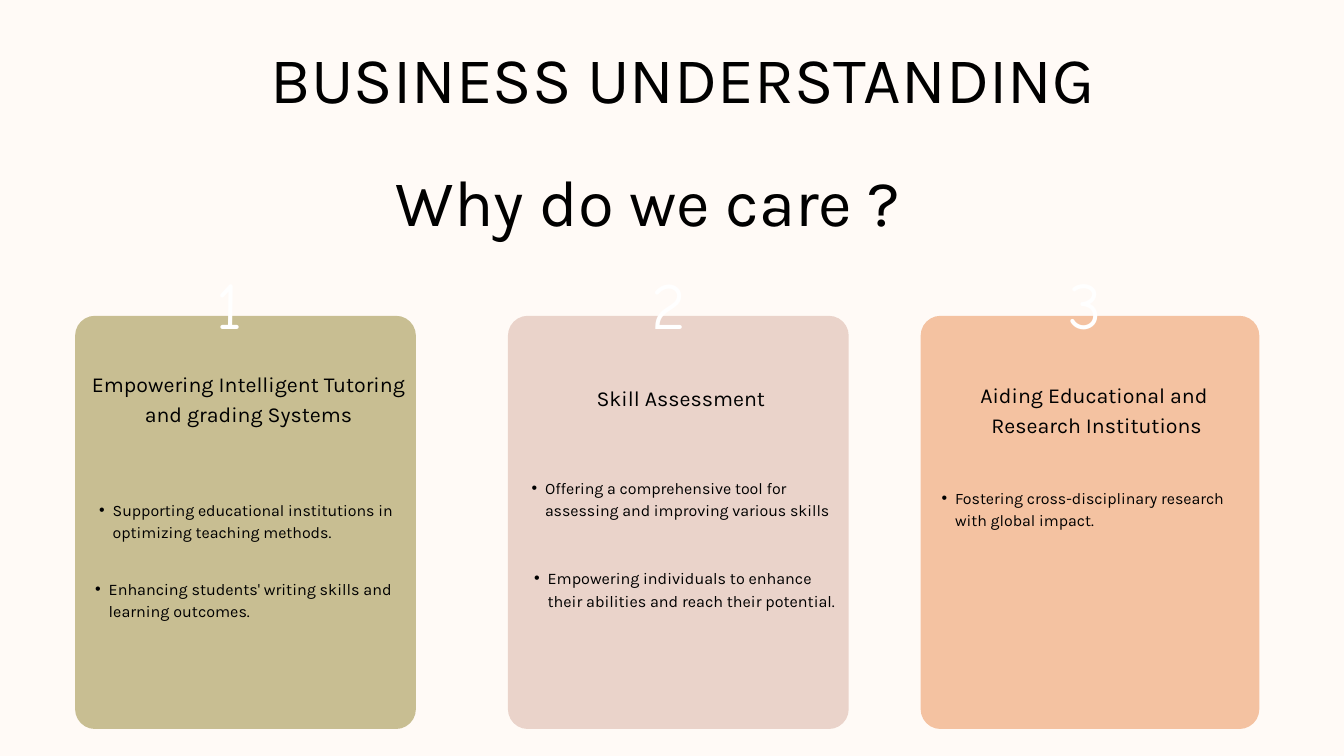
from dataclasses import dataclass

from lxml import etree
from pptx import Presentation, util as u
from pptx.dml.color import RGBColor
from pptx.enum import shapes, text
from pptx.oxml.ns import qn

SANS, HAND = "Karla", "Comic Neue"
BLACK, WHITE, CREAM = "000000", "FFFFFF", "FFFAF6"
CARD_TOP, CARD_HIGH = 11.94, 15.62
RADIUS = 0.75
HANG = 0.51


@dataclass
class Box:
    left: float
    top: float
    wide: float
    high: float

    def place(self) -> list:
        return [u.Cm(v) for v in (self.left, self.top, self.wide, self.high)]


@dataclass
class Item:
    words: str
    indent: float
    size: float = 17.1
    lead: float = 23.9
    gap: float = 0


@dataclass
class Card:
    num: str
    left: float
    wide: float
    fill: str
    num_left: float
    head: str
    head_box: Box
    list_box: Box
    items: list[Item]


CARDS = [
    Card("1", 2.84, 12.88, "C8BE92", 6.4,
         "Empowering Intelligent Tutoring and grading Systems",
         Box(3.07, 13.87, 12.65, 3.35), Box(3.07, 18.8, 12.29, 4.65),
         [Item("Supporting educational institutions in optimizing teaching "
               "methods.", 1.19),
          Item("Enhancing students' writing skills and learning outcomes.",
               1.04, 17.3, 24.2, 36.5)]),
    Card("2", 19.2, 12.88, "EAD3CA", 23.01,
         "Skill Assessment",
         Box(19.41, 14.38, 12.65, 1.09), Box(19.58, 17.96, 12.37, 5.92),
         [Item("Offering a comprehensive tool for assessing and improving "
               "various skills", 1.02),
          Item("Empowering individuals to enhance their abilities and reach "
               "their potential.", 1.12, 17.3, 24.2, 49)]),
    Card("3", 34.8, 12.8, "F4C2A1", 38.76,
         "Aiding Educational and\n Research Institutions",
         Box(34.8, 14.3, 13.11, 2.21), Box(35.08, 18.34, 12.52, 1.63),
         [Item("Fostering cross-disciplinary research with global impact.",
               1.02)]),
]


def paint(fill, color: str) -> None:
    fill.solid()
    fill.fore_color.rgb = RGBColor.from_string(color)


def fit(shape, box: Box) -> None:
    """Place a text shape and clear its insets."""
    shape.left, shape.top, shape.width, shape.height = box.place()
    frame = shape.text_frame
    frame.margin_left = frame.margin_right = 0
    frame.margin_top = frame.margin_bottom = 0
    frame.word_wrap = True
    frame.auto_size = text.MSO_AUTO_SIZE.NONE
    frame.vertical_anchor = text.MSO_ANCHOR.TOP


def style(para, size: float, lead: float, gap: float = 0,
          font: str = SANS, color: str = BLACK) -> None:
    para.line_spacing = u.Pt(lead)
    para.space_before = u.Pt(gap)
    for run in para.runs:
        run.font.name = font
        run.font.size = u.Pt(size)
        run.font.bold = False
        paint(run.font.fill, color)


def write(shape, box: Box, words: str, size: float, lead: float,
          font: str = SANS, color: str = BLACK) -> None:
    """Fill a shape with centred lines."""
    fit(shape, box)
    shape.text_frame.text = words
    for para in shape.text_frame.paragraphs:
        props = para._p.get_or_add_pPr()
        props.set("marL", "0")
        props.set("indent", "0")
        para.alignment = text.PP_ALIGN.CENTER
        style(para, size, lead, font=font, color=color)


def fill_list(shape, box: Box, items: list[Item]) -> None:
    fit(shape, box)
    frame = shape.text_frame
    frame.text = "\n".join(item.words for item in items)
    for para, item in zip(frame.paragraphs, items):
        props = para._p.get_or_add_pPr()
        props.set("marL", str(u.Cm(item.indent)))
        props.set("indent", str(-u.Cm(HANG)))
        etree.SubElement(props, qn("a:buChar")).set("char", "•")
        style(para, item.size, item.lead, item.gap)


def draw_card(slide, card: Card, body) -> None:
    box = Box(card.left, CARD_TOP, card.wide, CARD_HIGH)
    panel = slide.shapes.add_shape(
        shapes.MSO_SHAPE.ROUNDED_RECTANGLE, *box.place())
    panel.adjustments[0] = RADIUS / card.wide
    panel.shadow.inherit = False
    paint(panel.fill, card.fill)
    panel.line.fill.background()

    num_box = Box(card.num_left, 10.9, 4.52, 2.31)
    num = slide.shapes.add_textbox(*num_box.place())
    write(num, num_box, card.num, 70.8, 58.1, HAND, WHITE)
    head = slide.shapes.add_textbox(*card.head_box.place())
    write(head, card.head_box, card.head, 22.9, 32.1)

    fill_list(body, card.list_box, card.items)
    slide.shapes._spTree.append(body._element)  # bring above the panel


def main() -> None:
    deck = Presentation()
    deck.slide_width, deck.slide_height = u.Cm(50.8), u.Cm(28.58)
    slide = deck.slides.add_slide(deck.slide_layouts.get_by_name("Comparison"))
    paint(slide.background.fill, CREAM)

    title, lead, *lists = slide.placeholders
    write(title, Box(4.95, 0.94, 41.68, 3.35), "BUSINESS UNDERSTANDING", 70, 98)
    write(lead, Box(13.44, 5.61, 22.12, 3.35), "Why do we care ?", 70, 98)
    for card, body in zip(CARDS, lists):
        draw_card(slide, card, body)
    deck.save("out.pptx")


if __name__ == "__main__":
    main()
